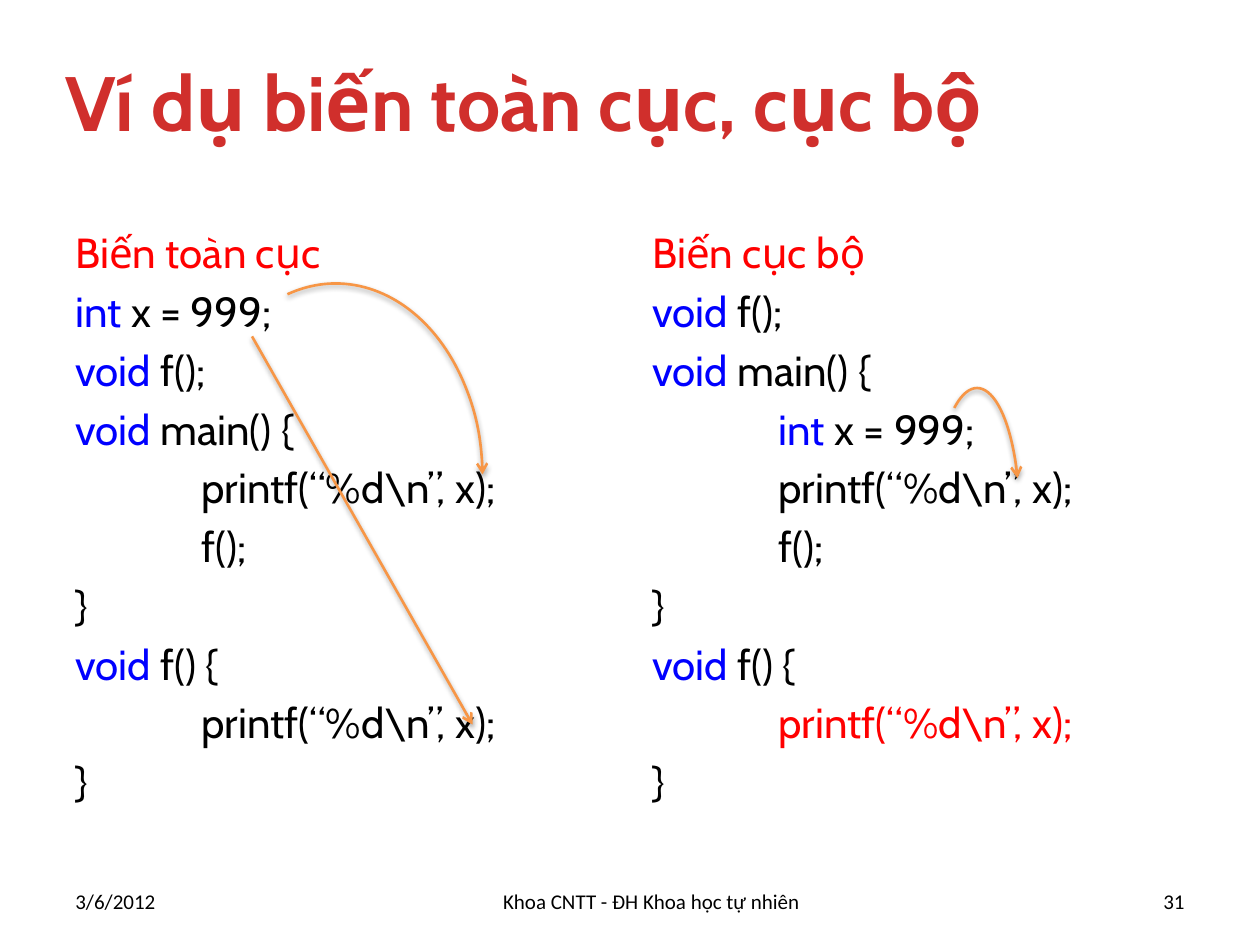
from dataclasses import dataclass

from lxml import etree
from pptx import Presentation
from pptx.dml.color import RGBColor
from pptx.enum.shapes import MSO_CONNECTOR, MSO_SHAPE
from pptx.enum.text import MSO_ANCHOR, PP_ALIGN
from pptx.oxml import parse_xml
from pptx.oxml.ns import nsdecls, qn
from pptx.util import Inches, Pt

ARC = MSO_SHAPE.ARC
STRAIGHT = MSO_CONNECTOR.STRAIGHT
TOP, MIDDLE = MSO_ANCHOR.TOP, MSO_ANCHOR.MIDDLE
LEFT, CENTER, RIGHT = PP_ALIGN.LEFT, PP_ALIGN.CENTER, PP_ALIGN.RIGHT

CODE_TAB = Inches(1)

COLORS = {
    "title": "D02F2C",
    "highlight": "FF0000",
    "keyword": "0000FF",
    "text": "000000",
    "arrow": "F79646",
}


@dataclass
class Run:
    text: str
    color: str = "text"


@dataclass
class TextBlock:
    box: tuple[float, float, float, float]
    lines: list[list[Run]]
    size: float
    font: str = "Cabin"
    bold: bool = False
    align: PP_ALIGN = LEFT
    anchor: MSO_ANCHOR = MIDDLE
    space_before: float = 0


@dataclass
class ArcArrow:
    box: tuple[float, float, float, float]
    start: float
    end: float


def keyword_line(keyword: str, rest: str) -> list[Run]:
    return [Run(keyword, "keyword"), Run(rest)]


def code_block(left: float, lines: list[list[Run]]) -> TextBlock:
    return TextBlock((left, 1.75, 4.42, 4.95), lines, 24, anchor=TOP, space_before=4.8)


def footer(left: float, width: float, text: str, align: PP_ALIGN) -> TextBlock:
    return TextBlock((left, 6.95, width, 0.4), [[Run(text)]], 12, "Calibri", align=align)


MAIN_LINE = keyword_line("void ", "main() {")
FUNCTION_LINE = keyword_line("void", " f() {")
PRINT_LINE = [Run("\tprintf(“%d\\n”, x);")]
CALL_LINE = [Run("\tf();")]
CLOSING_LINE = [Run("}")]

GLOBAL_CODE = [
    [Run("Biến toàn cục", "highlight")],
    keyword_line("int ", "x = 999;"),
    keyword_line("void", " f();"),
    MAIN_LINE,
    PRINT_LINE,
    CALL_LINE,
    CLOSING_LINE,
    FUNCTION_LINE,
    PRINT_LINE,
    CLOSING_LINE,
]
LOCAL_CODE = [
    [Run("Biến cục bộ", "highlight")],
    keyword_line("void ", "f();"),
    MAIN_LINE,
    keyword_line("\tint ", "x = 999;"),
    PRINT_LINE,
    CALL_LINE,
    CLOSING_LINE,
    FUNCTION_LINE,
    [Run("\t"), Run("printf(“%d\\n”, x);", "highlight")],
    CLOSING_LINE,
]

TEXT_BLOCKS = [
    code_block(0.5, GLOBAL_CODE),
    code_block(5.08, LOCAL_CODE),
    footer(0.5, 1, "3/6/2012", LEFT),
    footer(1.67, 7, "Khoa CNTT - ĐH Khoa học tự nhiên", CENTER),
    footer(8.92, 0.58, "31", RIGHT),
    TextBlock((0.42, 0.17, 9.42, 1.25),
              [[Run("Ví dụ biến toàn cục, cục bộ", "title")]], 44, bold=True),
]

# Arc angles are in units of 100000/60000 degrees
ARC_ARROWS = [
    ArcArrow((1.5, 2.25, 2.33, 3.08), 153.14, 215.3),
    ArcArrow((7.42, 3.08, 0.67, 2), 154.73, 191.05),
]


def add_tab_stop(paragraph) -> None:
    properties = paragraph._p.get_or_add_pPr()
    tab_stops = etree.SubElement(properties, qn("a:tabLst"))
    etree.SubElement(tab_stops, qn("a:tab"), pos=str(int(CODE_TAB)), algn="l")


def add_text(slide, block: TextBlock) -> None:
    shape = slide.shapes.add_textbox(*map(Inches, block.box))
    frame = shape.text_frame
    frame.word_wrap = True
    frame.vertical_anchor = block.anchor
    for index, line in enumerate(block.lines):
        paragraph = frame.add_paragraph() if index else frame.paragraphs[0]
        paragraph.alignment = block.align
        paragraph.space_before = Pt(block.space_before)
        if line[0].text.startswith("\t"):
            add_tab_stop(paragraph)
        for part in line:
            run = paragraph.add_run()
            run.text = part.text
            run.font.name = block.font
            run.font.size = Pt(block.size)
            run.font.bold = block.bold
            run.font.color.rgb = RGBColor.from_string(COLORS[part.color])


def style_arrow(shape) -> None:
    """Give an arc or connector its line, open arrowhead and soft shadow."""
    shape.line.color.rgb = RGBColor.from_string(COLORS["arrow"])
    shape.line.width = Pt(1.5)
    properties = shape.element.spPr
    etree.SubElement(properties.find(qn("a:ln")), qn("a:tailEnd"), type="arrow")
    properties.append(parse_xml(
        f'<a:effectLst {nsdecls("a")}>'
        f'<a:outerShdw blurRad="{Pt(3.1)}" dist="{Pt(1.8)}" dir="5400000" rotWithShape="0">'
        '<a:srgbClr val="000000"><a:alpha val="35000"/></a:srgbClr>'
        '</a:outerShdw></a:effectLst>'))


def add_arc_arrow(slide, arrow: ArcArrow) -> None:
    shape = slide.shapes.add_shape(ARC, *map(Inches, arrow.box))
    shape.adjustments[0] = arrow.start
    shape.adjustments[1] = arrow.end
    shape.fill.background()
    style_arrow(shape)


def main() -> None:
    presentation = Presentation()
    presentation.slide_width = Inches(10)
    presentation.slide_height = Inches(7.5)
    slide = presentation.slides.add_slide(presentation.slide_layouts[6])

    for block in TEXT_BLOCKS:
        add_text(slide, block)
    for arrow in ARC_ARROWS:
        add_arc_arrow(slide, arrow)
    style_arrow(slide.shapes.add_connector(STRAIGHT, *map(Inches, (2, 2.67, 3.75, 5.75))))

    presentation.save("out.pptx")


if __name__ == "__main__":
    main()
